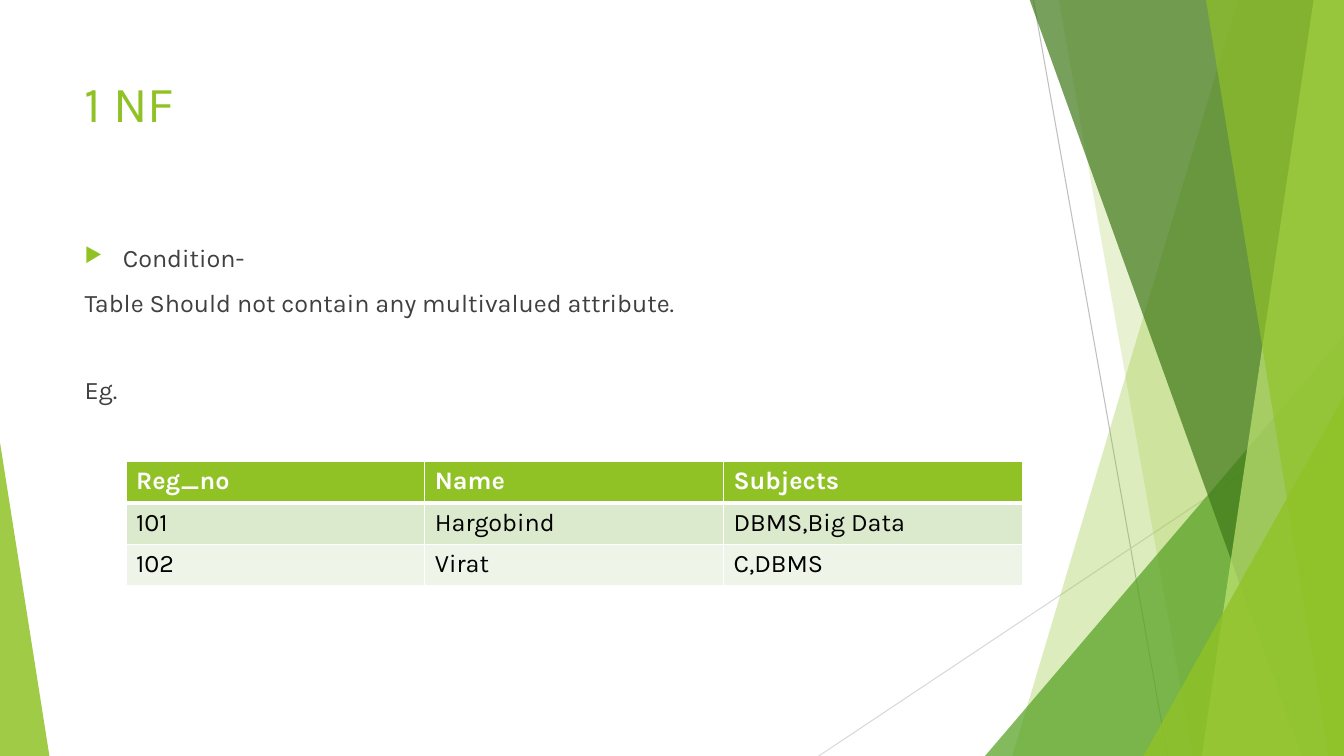
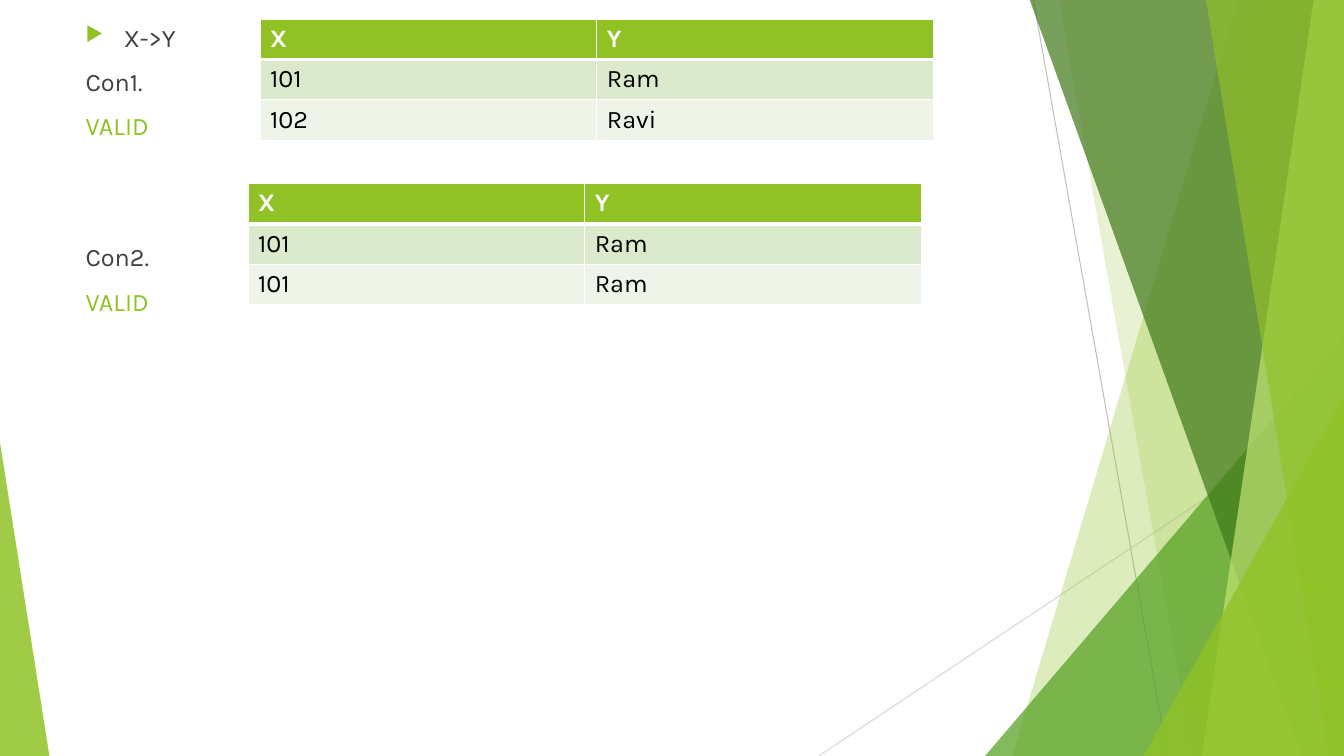
from dataclasses import dataclass

from lxml import etree
from pptx import Presentation
from pptx.dml.color import RGBColor
from pptx.enum.shapes import MSO_CONNECTOR, MSO_SHAPE
from pptx.enum.text import MSO_ANCHOR, MSO_AUTO_SIZE, PP_ALIGN
from pptx.oxml.ns import qn
from pptx.util import Inches, Pt

LINE = MSO_CONNECTOR.STRAIGHT
WEDGE = MSO_SHAPE.ISOSCELES_TRIANGLE
LEFT = PP_ALIGN.LEFT
TOP = MSO_ANCHOR.TOP
FIXED = MSO_AUTO_SIZE.NONE

LIME = RGBColor(0x90, 0xC2, 0x26)
LEAF = RGBColor(0x54, 0xA0, 0x21)
MOSS = RGBColor(0x3F, 0x78, 0x19)
PALE = RGBColor(0xC0, 0xE4, 0x74)
MIST = RGBColor(0xDB, 0xE9, 0xCD)
FOAM = RGBColor(0xEE, 0xF4, 0xE8)
ASH = RGBColor(0xBF, 0xBF, 0xBF)
FOG = RGBColor(0xD9, 0xD9, 0xD9)
INK = RGBColor(0x40, 0x40, 0x40)
BLACK = RGBColor(0, 0, 0)
WHITE = RGBColor(0xFF, 0xFF, 0xFF)

FONT = "Karla"
WIDE, HIGH = 13.33, 7.5
GAP, BLANK = 10, 31


@dataclass
class Ray:
    start: tuple[float, float]
    end: tuple[float, float]
    color: RGBColor


@dataclass
class Band:
    top: float
    foot: float
    color: RGBColor
    alpha: int


@dataclass
class Peak:
    left: float
    top: float
    width: float
    apex: float
    color: RGBColor
    alpha: int


@dataclass
class Item:
    text: str
    color: RGBColor = INK
    skip: int = 0
    mark: bool = False


@dataclass
class Grid:
    left: float
    top: float
    width: float
    row: float
    cells: list[list[str]]


RAYS = [
    Ray((10.25, 0), (11.58, HIGH), ASH),
    Ray((WIDE, 4.03), (8.12, HIGH), FOG),
]

DECOR = [
    Band(12.28, 10.04, LIME, 30),
    Band(10.5, 11.83, LIME, 20),
    Peak(9.77, 3.33, 3.56, 1, LEAF, 72),
    Band(10.21, 12.91, MOSS, 70),
    Band(13.03, 11.92, PALE, 70),
    Band(11.96, 13.18, LIME, 65),
    Peak(11.34, 3.93, 1.99, 1, LIME, 80),
    Peak(0, 4.39, 0.49, 0, LIME, 85),
]


def style(para, color: RGBColor, size: int = 18, bold: bool = False) -> None:
    for run in para.runs:
        run.font.name = FONT
        run.font.size = Pt(size)
        run.font.bold = bold
        run.font.color.rgb = color


def tint(shape, color: RGBColor, alpha: int) -> None:
    shape.shadow.inherit = False
    shape.line.fill.background()
    shape.fill.solid()
    shape.fill.fore_color.rgb = color
    for node in shape.element.spPr.iter(qn("a:srgbClr")):
        etree.SubElement(node, qn("a:alpha")).set("val", str(alpha * 1000))


def draw_ray(slide, ray: Ray) -> None:
    ends = [Inches(v) for v in (*ray.start, *ray.end)]
    line = slide.shapes.add_connector(LINE, *ends)
    line.line.color.rgb = ray.color
    line.line.width = Pt(0.75)
    etree.SubElement(line.element.spPr, qn("a:effectLst"))


def draw_band(slide, band: Band) -> None:
    pen = slide.shapes.build_freeform(Inches(band.top), Inches(-0.01))
    spots = [(WIDE, -0.01), (WIDE, HIGH), (band.foot, HIGH)]
    pen.add_line_segments([(Inches(x), Inches(y)) for x, y in spots])
    tint(pen.convert_to_shape(), band.color, band.alpha)


def draw_peak(slide, peak: Peak) -> None:
    shape = slide.shapes.add_shape(
        WEDGE, Inches(peak.left), Inches(peak.top),
        Inches(peak.width), Inches(HIGH - peak.top))
    shape.adjustments[0] = peak.apex
    tint(shape, peak.color, peak.alpha)


def draw_decor(slide) -> None:
    for ray in RAYS:
        draw_ray(slide, ray)
    for part in DECOR:
        if isinstance(part, Band):
            draw_band(slide, part)
        else:
            draw_peak(slide, part)


def set_title(slide, text: str) -> None:
    title = slide.shapes.title
    title.left, title.top = Inches(0.74), Inches(0.67)
    title.width, title.height = Inches(9.4), Inches(1.44)
    frame = title.text_frame
    frame.text = text
    frame.auto_size = FIXED
    frame.vertical_anchor = TOP
    para = frame.paragraphs[0]
    para.alignment = LEFT
    style(para, LIME, 36)


def add_mark(para) -> None:
    props = para._p.get_or_add_pPr()
    props.set("marL", str(Inches(0.38)))
    props.set("indent", str(-Inches(0.38)))
    hue = etree.SubElement(props, qn("a:buClr"))
    etree.SubElement(hue, qn("a:srgbClr")).set("val", str(LIME))
    etree.SubElement(props, qn("a:buSzPct")).set("val", "80000")
    etree.SubElement(props, qn("a:buChar")).set("char", "▶")


def add_body(slide, left: float, top: float, height: float,
             items: list[Item]) -> None:
    box = slide.shapes.add_textbox(
        Inches(left), Inches(top), Inches(9.4), Inches(height))
    frame = box.text_frame
    frame.word_wrap = True
    frame.text = "\n".join(item.text for item in items)
    for para, item in zip(frame.paragraphs, items):
        para.space_before = Pt(GAP + BLANK * item.skip)
        style(para, item.color)
        if item.mark:
            add_mark(para)


def add_edge(props, spot: int, side: str, width: float) -> None:
    edge = etree.Element(qn(f"a:ln{side}"), w=str(Pt(width)))
    fill = etree.SubElement(edge, qn("a:solidFill"))
    etree.SubElement(fill, qn("a:srgbClr")).set("val", str(WHITE))
    props.insert(spot, edge)


def fill_cell(cell, text: str, row: int) -> None:
    cell.text = text
    head = row == 0
    style(cell.text_frame.paragraphs[0], WHITE if head else BLACK, bold=head)
    cell.fill.solid()
    cell.fill.fore_color.rgb = LIME if head else (FOAM, MIST)[row % 2]
    props = cell._tc.get_or_add_tcPr()
    thick = {"T": 1, "B": 0}
    for spot, side in enumerate("LRTB"):
        add_edge(props, spot, side, 3 if thick.get(side) == row else 1)


def add_grid(slide, grid: Grid) -> None:
    rows, cols = len(grid.cells), len(grid.cells[0])
    table = slide.shapes.add_table(
        rows, cols, Inches(grid.left), Inches(grid.top),
        Inches(grid.width), Inches(grid.row * rows)).table
    for r, texts in enumerate(grid.cells):
        for c, text in enumerate(texts):
            fill_cell(table.cell(r, c), text, r)


def first_form(deck) -> None:
    slide = deck.slides.add_slide(deck.slide_layouts[5])
    draw_decor(slide)
    set_title(slide, "1 NF")
    add_body(slide, 0.74, 2.36, 4.24, [
        Item("Condition-", mark=True),
        Item("Table Should not contain any multivalued attribute."),
        Item("Eg.", skip=1),
    ])
    add_grid(slide, Grid(1.25, 4.58, 8.89, 0.41, [
        ["Reg_no", "Name", "Subjects"],
        ["101", "Hargobind", "DBMS,Big Data"],
        ["102", "Virat", "C,DBMS"],
    ]))


def valid_pairs(deck) -> None:
    slide = deck.slides.add_slide(deck.slide_layouts[6])
    draw_decor(slide)
    add_body(slide, 0.75, 0.17, 6.36, [
        Item("X->Y", mark=True),
        Item("Con1."),
        Item("VALID", LIME),
        Item("Con2.", skip=2),
        Item("VALID", LIME),
    ])
    head, ram = ["X", "Y"], ["101", "Ram"]
    add_grid(slide, Grid(2.58, 0.19, 6.68, 0.4, [head, ram, ["102", "Ravi"]]))
    add_grid(slide, Grid(2.46, 1.82, 6.68, 0.4, [head, ram, ram]))


def main() -> None:
    deck = Presentation()
    deck.slide_width, deck.slide_height = Inches(WIDE), Inches(HIGH)
    first_form(deck)
    valid_pairs(deck)
    deck.save("out.pptx")


if __name__ == "__main__":
    main()
